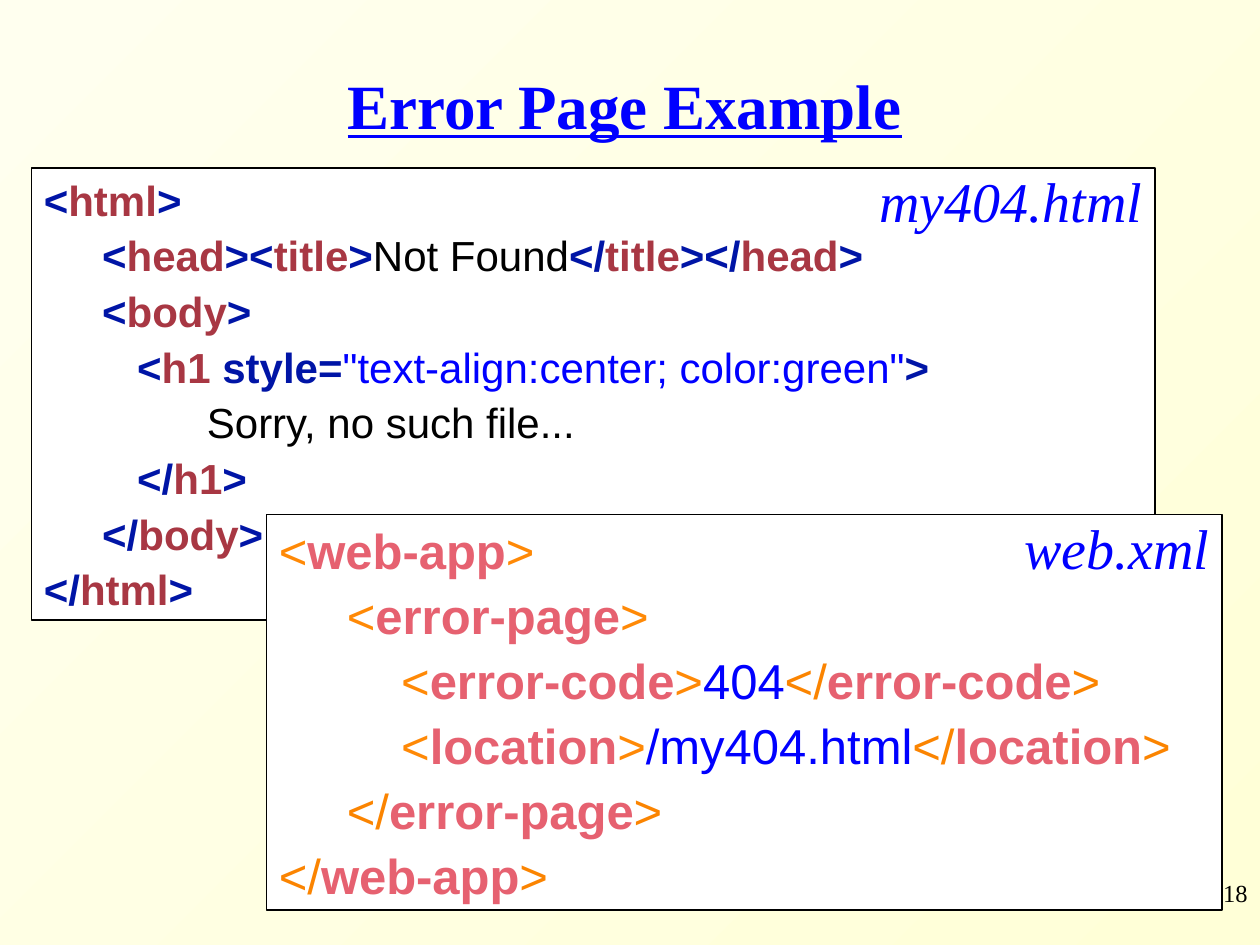
from pptx import Presentation
from pptx.dml.color import RGBColor
from pptx.enum.shapes import MSO_SHAPE as Shape
from pptx.enum.text import MSO_ANCHOR as Anchor, PP_ALIGN as Align
from pptx.util import Pt

SERIF, SANS = "Times New Roman", "Arial"
BLUE, BLACK, WHITE = "0000FF", "000000", "FFFFFF"

# Code styles: (colour, bold)
TEXT = (BLACK, False)
VALUE = (BLUE, False)
HTML_MARK, HTML_NAME = ("0015A6", True), ("A83743", True)
XML_OPEN, XML_CLOSE = ("FF8906", False), ("FB8400", False)
XML_NAME = ("E66170", True)


def rgb(hex_color):
    return RGBColor.from_string(hex_color)


def html_open(name):
    return [("<", HTML_MARK), (name, HTML_NAME), (">", HTML_MARK)]


def html_close(name):
    return [("</", HTML_MARK), (name, HTML_NAME), (">", HTML_MARK)]


def xml_open(name):
    return [("<", XML_OPEN), (name, XML_NAME), (">", XML_OPEN)]


def xml_close(name):
    return [("</", XML_CLOSE), (name, XML_NAME), (">", XML_CLOSE)]


def indent(spaces, runs):
    return [(" " * spaces, TEXT)] + runs


def set_background(slide, start, end):
    fill = slide.background.fill
    fill.gradient()
    fill.gradient_angle = 315
    for stop, color, position in zip(fill.gradient_stops, (start, end), (0, 1)):
        stop.color.rgb = rgb(color)
        stop.position = position


def add_label(slide, box, text, size, color, align, anchor=Anchor.TOP,
              line_spacing=1.0, **emphasis):
    frame = slide.shapes.add_textbox(*map(Pt, box)).text_frame
    frame.word_wrap = True
    frame.vertical_anchor = anchor
    line = frame.paragraphs[0]
    line.text = text
    line.alignment = align
    line.line_spacing = line_spacing
    line.font.name, line.font.size = SERIF, Pt(size)
    line.font.color.rgb = rgb(color)
    for name, value in emphasis.items():
        setattr(line.font, name, value)


def add_code_panel(slide, box, lines, size):
    panel = slide.shapes.add_shape(Shape.RECTANGLE, *map(Pt, box))
    panel.shadow.inherit = False
    panel.fill.solid()
    panel.fill.fore_color.rgb = rgb(WHITE)
    panel.line.color.rgb = rgb(BLACK)
    panel.line.width = Pt(1)
    frame = panel.text_frame
    frame.word_wrap = True
    frame.vertical_anchor = Anchor.TOP
    for number, runs in enumerate(lines):
        line = frame.add_paragraph() if number else frame.paragraphs[0]
        line.alignment = Align.LEFT
        line.space_before = Pt(size / 8 if number else 0)
        line.font.name, line.font.size = SANS, Pt(size)
        for text, (color, bold) in runs:
            run = line.add_run()
            run.text = text
            run.font.bold = bold
            run.font.color.rgb = rgb(color)


def main():
    deck = Presentation()
    deck.slide_width, deck.slide_height = Pt(720), Pt(540)
    slide = deck.slides.add_slide(deck.slide_layouts[6])
    set_background(slide, "FFFFEF", "FFFFD7")

    # Page number and title
    add_label(slide, (570, 498, 150, 36), "18", 14, BLACK, Align.RIGHT)
    add_label(slide, (72, 30, 570, 66), "Error Page Example", 36, BLUE,
              Align.CENTER, Anchor.MIDDLE, 0.85, bold=True, underline=True)

    # Error page
    error_page = [
        html_open("html"),
        indent(5, html_open("head") + html_open("title")
               + [("Not Found", TEXT)]
               + html_close("title") + html_close("head")),
        indent(5, html_open("body")),
        indent(8, [("<", HTML_MARK), ("h1 ", HTML_NAME), ("style=", HTML_MARK),
                   ('"text-align:center; color:green"', VALUE),
                   (">", HTML_MARK)]),
        indent(14, [("Sorry, no such file...", TEXT)]),
        indent(8, html_close("h1")),
        indent(5, html_close("body")),
        html_close("html"),
    ]
    add_code_panel(slide, (18, 96, 642, 258.5), error_page, 24)
    add_label(slide, (438, 96, 222, 42), "my404.html", 32, BLUE, Align.RIGHT,
              line_spacing=0.9, italic=True)

    # Deployment descriptor
    descriptor = [
        xml_open("web-app"),
        indent(5, xml_open("error-page")),
        indent(9, xml_open("error-code") + [("404", VALUE)]
               + xml_close("error-code")),
        indent(9, xml_open("location") + [("/my404.html", VALUE)]
               + xml_close("location")),
        indent(5, xml_close("error-page")),
        xml_close("web-app"),
    ]
    add_code_panel(slide, (152.3, 294, 546, 226), descriptor, 28)
    add_label(slide, (496.3, 294.5, 202, 42), "web.xml", 32, BLUE, Align.RIGHT,
              line_spacing=0.9, italic=True)

    deck.save("out.pptx")


if __name__ == "__main__":
    main()
